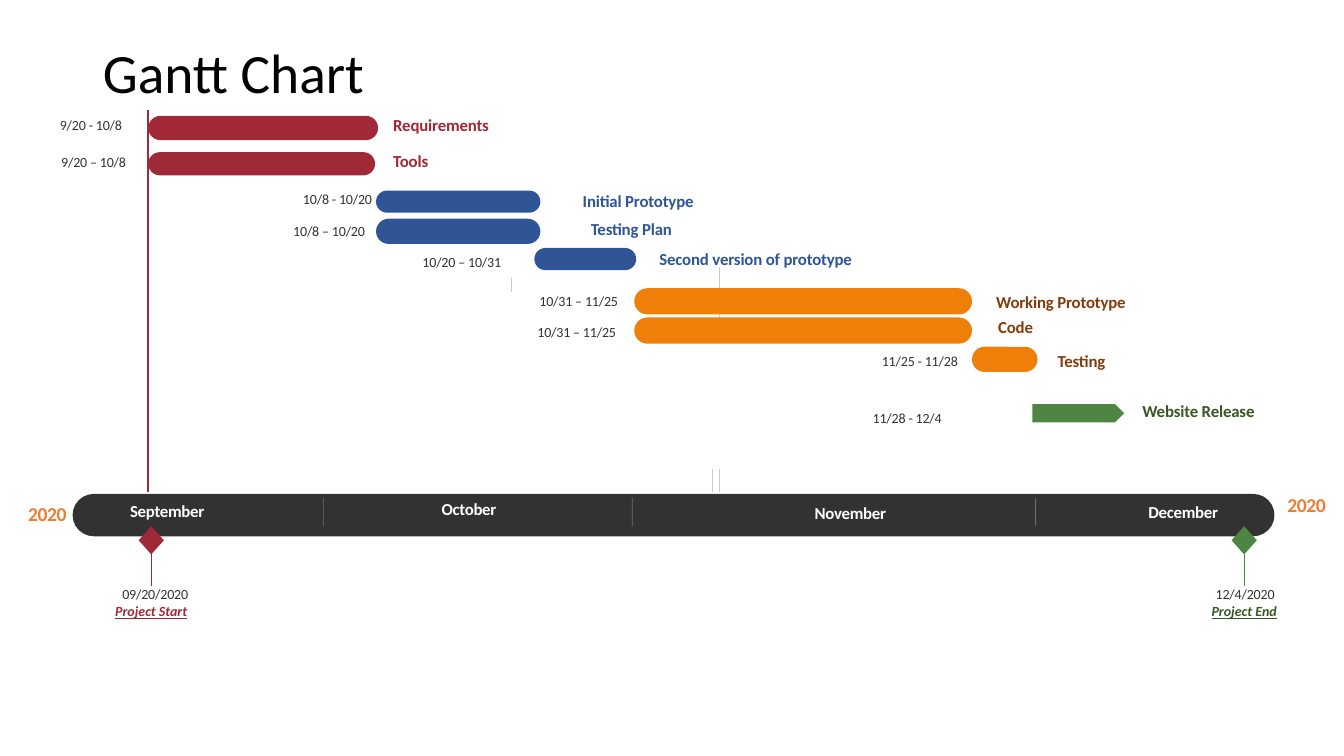
"""Build a Gantt chart slide with tasks, a month bar and two milestones."""
from pptx import Presentation
from pptx.dml.color import RGBColor
from pptx.enum.shapes import MSO_CONNECTOR, MSO_SHAPE as Shape
from pptx.enum.text import MSO_ANCHOR, PP_ALIGN as Align
from pptx.oxml.ns import qn
from pptx.util import Inches, Pt
from lxml.etree import SubElement

BLACK = RGBColor(0x00, 0x00, 0x00)
WHITE = RGBColor(0xFF, 0xFF, 0xFF)
CHARCOAL = RGBColor(0x32, 0x32, 0x32)
SILVER = RGBColor(0xCC, 0xCC, 0xCC)
RED = RGBColor(0x9F, 0x29, 0x36)
BLUE = RGBColor(0x2F, 0x55, 0x97)
ORANGE = RGBColor(0xF0, 0x7F, 0x09)
BROWN = RGBColor(0x84, 0x3C, 0x0C)
GREEN = RGBColor(0x4E, 0x85, 0x42)
DARK_GREEN = RGBColor(0x38, 0x57, 0x23)
YEAR_ORANGE = RGBColor(0xED, 0x7D, 0x31)

FONT = "Calibri"
DATE_WIDTH = 1.2
NAME_WIDTH = 2
NAME_HEIGHT = 0.2
SMALL_HEIGHT = 0.17
BAR_TOP = 4.9

# bar left, top, width, height, bar colour; dates, right, top; name, left, top, colour
TASKS = [
    ((1.47, 1.15, 2.28, 0.24, RED), ("9/20 - 10/8", 1.21, 1.15), ("Requirements", 3.9, 1.14, RED)),
    ((1.47, 1.51, 2.25, 0.23, RED), ("9/20 – 10/8", 1.25, 1.52), ("Tools", 3.9, 1.5, RED)),
    ((3.73, 1.89, 1.63, 0.22, BLUE), ("10/8 - 10/20", 3.69, 1.89), ("Initial Prototype", 5.78, 1.89, BLUE)),
    ((3.73, 2.17, 1.63, 0.25, BLUE), ("10/8 – 10/20", 3.62, 2.21), ("Testing Plan", 5.86, 2.17, BLUE)),
    ((5.3, 2.46, 1.01, 0.22, BLUE), ("10/20 – 10/31", 4.97, 2.51), ("Second version of prototype", 6.54, 2.47, BLUE)),
    ((6.29, 2.86, 3.35, 0.26, ORANGE), ("10/31 – 11/25", 6.13, 2.9), ("Working Prototype", 9.88, 2.89, BROWN)),
    ((6.29, 3.15, 3.35, 0.26, ORANGE), ("10/31 – 11/25", 6.11, 3.21), ("Code", 9.9, 3.14, BROWN)),
    ((9.64, 3.44, 0.65, 0.25, ORANGE), ("11/25 - 11/28", 9.5, 3.5), ("Testing", 10.49, 3.48, BROWN)),
    ((10.24, 4.01, 0.91, 0.18, GREEN), ("11/28 - 12/4", 9.34, 4.06), ("Website Release", 11.33, 3.98, DARK_GREEN)),
]
MONTHS = [("September", 1.29, 4.97), ("October", 4.38, 4.95),
          ("November", 8.08, 4.99), ("December", 11.39, 4.98)]
MONTH_BREAKS = [3.21, 6.27, 10.27]
GUIDES = [(7.07, 4.65, 4.88), (7.14, 4.65, 4.88), (7.14, 2.65, 3.26), (5.07, 2.76, 2.9)]
# diamond centre, colour, date, date centre, name, name centre, name colour
MILESTONES = [
    (1.5, RED, "09/20/2020", 1.54, "Project Start", 1.5, RED),
    (12.34, GREEN, "12/4/2020", 12.35, "Project End", 12.34, DARK_GREEN),
]


def format_span(span, size, color, bold=False, spacing=0):
    """Set the font of one run, with letter spacing in points."""
    font = span.font
    font.name, font.size, font.bold = FONT, Pt(size), bold
    font.color.rgb = color
    if spacing:
        span.font._element.set("spc", str(round(spacing * 100)))


def add_text(page, text, left, top, width, height, size, color,
             align=Align.LEFT, bold=False, spacing=0):
    """Add a one-line text box without insets and return its run."""
    box = page.shapes.add_textbox(Inches(left), Inches(top), Inches(width), Inches(height))
    frame = box.text_frame
    frame.margin_left = frame.margin_right = frame.margin_top = frame.margin_bottom = 0
    frame.word_wrap = True
    frame.vertical_anchor = MSO_ANCHOR.MIDDLE
    frame.text = text
    para = frame.paragraphs[0]
    para.alignment = align
    format_span(para.runs[0], size, color, bold, spacing)
    return para.runs[0]


def add_centered(page, text, center, top, size, color, width=1, **style):
    """Add text centred on a horizontal position."""
    return add_text(page, text, center - width / 2, top, width, SMALL_HEIGHT, size, color,
                    Align.CENTER, **style)


def add_block(page, kind, left, top, width, height, color):
    """Add a filled shape without outline; rounded ones become pills."""
    block = page.shapes.add_shape(kind, Inches(left), Inches(top), Inches(width), Inches(height))
    block.shadow.inherit = False
    block.fill.solid()
    block.fill.fore_color.rgb = color
    block.line.fill.background()
    if kind == Shape.ROUNDED_RECTANGLE:
        block.adjustments[0] = 0.5


def add_vertical(page, x, top, bottom, color, weight=0.75, opacity=100):
    """Add a vertical line."""
    line = page.shapes.add_connector(MSO_CONNECTOR.STRAIGHT, Inches(x), Inches(top),
                                     Inches(x), Inches(bottom))
    line.line.color.rgb = color
    line.line.width = Pt(weight)
    properties = line._element.spPr
    SubElement(properties, qn("a:effectLst"))
    if opacity < 100:
        paint = properties.find(".//" + qn("a:srgbClr"))
        SubElement(paint, qn("a:alpha")).set("val", str(opacity * 1000))


def add_title(page, text):
    """Fill and place the title placeholder."""
    title = page.shapes.title
    title.left, title.top, title.width, title.height = map(Inches, (0.92, 0.4, 11.5, 0.69))
    frame = title.text_frame
    frame.text = text
    frame.vertical_anchor = MSO_ANCHOR.MIDDLE
    para = frame.paragraphs[0]
    para.alignment = Align.LEFT
    para.line_spacing = 0.9
    format_span(para.runs[0], 39.6, BLACK)


def add_task(page, bar, dates, name):
    """Add a task bar with its dates and name; the green one ends in a point."""
    kind = Shape.PENTAGON if bar[-1] == GREEN else Shape.ROUNDED_RECTANGLE
    add_block(page, kind, *bar)
    label, right, top = dates
    add_text(page, label, right - DATE_WIDTH, top, DATE_WIDTH, SMALL_HEIGHT, 10, CHARCOAL,
             Align.RIGHT, spacing=-0.1)
    label, left, top, color = name
    add_text(page, label, left, top, NAME_WIDTH, NAME_HEIGHT, 12, color, bold=True, spacing=-0.1)


def add_timeline(page):
    """Add the month bar with its dividers and the year at each end."""
    add_block(page, Shape.ROUNDED_RECTANGLE, 0.72, BAR_TOP, 11.92, 0.42, CHARCOAL)
    for x in MONTH_BREAKS:
        add_vertical(page, x, 4.94, 5.22, WHITE, 0.5, 30)
    for month, left, top in MONTHS:
        add_text(page, month, left, top, 0.9, NAME_HEIGHT, 12, WHITE, bold=True, spacing=-0.2)
    for center, top in ((0.47, 5.01), (12.96, 4.92)):
        add_centered(page, "2020", center, top, 14, YEAR_ORANGE, 0.6, bold=True, spacing=-0.3)


def add_milestone(page, x, color, date, date_center, name, name_center, name_color):
    """Add a diamond on the month bar with a stem, a date and a name."""
    add_vertical(page, x, 5.36, 5.81, color)
    add_block(page, Shape.DIAMOND, x - 0.125, 5.22, 0.25, 0.28, color)
    add_centered(page, date, date_center, 5.81, 10, CHARCOAL, spacing=-0.1)
    span = add_centered(page, name, name_center, 5.98, 10, name_color, bold=True)
    span.font.italic = span.font.underline = True


def main():
    """Build and save the slide."""
    deck = Presentation()
    deck.slide_width, deck.slide_height = Inches(13.33), Inches(7.5)
    page = deck.slides.add_slide(deck.slide_layouts[5])
    add_title(page, "Gantt Chart")
    for guide in GUIDES:
        add_vertical(page, *guide, SILVER)
    add_vertical(page, 1.47, 1.09, 4.88, RED, 1.5)
    add_timeline(page)
    for task in TASKS:
        add_task(page, *task)
    for milestone in MILESTONES:
        add_milestone(page, *milestone)
    deck.save("out.pptx")


main()
